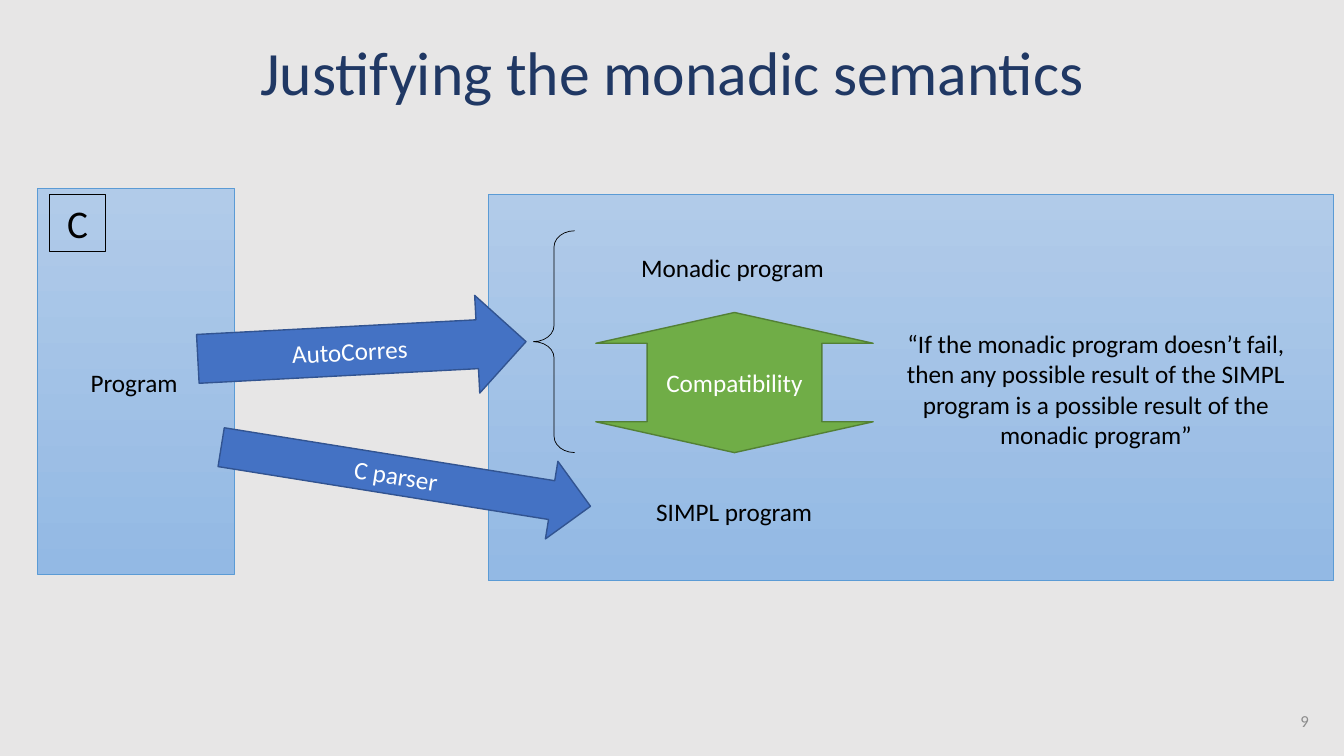
from lxml.etree import SubElement
from pptx import Presentation
from pptx.dml.color import RGBColor
from pptx.enum.shapes import MSO_SHAPE
from pptx.enum.text import MSO_ANCHOR, MSO_AUTO_SIZE, PP_ALIGN
from pptx.oxml.ns import qn
from pptx.util import Pt

PX = 9144
FONT = "Calibri"
BLACK = RGBColor(0x00, 0x00, 0x00)
WHITE = RGBColor(0xFF, 0xFF, 0xFF)
GRAY = RGBColor(0x8C, 0x8C, 0x8C)
PAPER = RGBColor(0xE7, 0xE6, 0xE6)
NAVY = RGBColor(0x20, 0x38, 0x64)
BLUE = RGBColor(0x44, 0x72, 0xC4)
DARK_BLUE = RGBColor(0x32, 0x54, 0x91)
GREEN = RGBColor(0x70, 0xAD, 0x47)
DARK_GREEN = RGBColor(0x53, 0x80, 0x35)
SKY = RGBColor(0x5B, 0x9B, 0xD5)
PALE_TOP = RGBColor(0xB1, 0xCB, 0xE9)
PALE_END = RGBColor(0x93, 0xB9, 0xE4)


def scale(*box):
    return [n * PX for n in box]


def write(shape, text, size=18, color=BLACK, align=PP_ALIGN.LEFT, anchor=MSO_ANCHOR.TOP):
    frame = shape.text_frame
    frame.text = text
    frame.word_wrap = True
    frame.auto_size = MSO_AUTO_SIZE.NONE
    frame.vertical_anchor = anchor
    para = frame.paragraphs[0]
    para.alignment = align
    para.font.name = FONT
    para.font.size = Pt(size)
    para.font.color.rgb = color
    return para


def add_label(slide, box, text, **style):
    write(slide.shapes.add_textbox(*scale(*box)), text, **style)


def add_form(slide, kind, box, line, width, fill=None):
    form = slide.shapes.add_shape(kind, *scale(*box))
    form.shadow.inherit = False
    form.line.color.rgb = line
    form.line.width = Pt(width)
    if fill is None:
        form.fill.background()
    else:
        form.fill.solid()
        form.fill.fore_color.rgb = fill
    return form


def add_panel(slide, box):
    panel = add_form(slide, MSO_SHAPE.RECTANGLE, box, SKY, 0.5)
    panel.fill.gradient()
    panel.fill.gradient_angle = 270
    for stop, color, place in zip(panel.fill.gradient_stops, (PALE_TOP, PALE_END), (0, 1)):
        stop.color.rgb = color
        stop.position = place


def add_arrow(slide, kind, box, text, fill, line, turn=0):
    arrow = add_form(slide, kind, box, line, 1, fill)
    arrow.rotation = turn
    write(arrow, text, color=WHITE, align=PP_ALIGN.CENTER, anchor=MSO_ANCHOR.MIDDLE)
    return arrow


def set_guides(shape, **guides):
    holder = next(shape.element.iter(qn("a:avLst")))
    for old in list(holder):
        holder.remove(old)
    for name, value in guides.items():
        SubElement(holder, qn("a:gd"), name=name, fmla=f"val {value}")


def set_title(slide, box, text):
    title = slide.shapes.title
    title.left, title.top, title.width, title.height = scale(*box)
    para = write(title, text, 44, NAVY, PP_ALIGN.CENTER, MSO_ANCHOR.MIDDLE)
    para.line_spacing = 0.9


def main():
    deck = Presentation()
    deck.slide_width, deck.slide_height = scale(1333, 750)
    slide = deck.slides.add_slide(deck.slide_layouts[5])
    slide.background.fill.solid()
    slide.background.fill.fore_color.rgb = PAPER
    set_title(slide, (92, 2, 1150, 145), "Justifying the monadic semantics")

    add_panel(slide, (484, 193, 838, 383))
    add_panel(slide, (37, 187, 196, 383))
    badge = add_form(slide, MSO_SHAPE.RECTANGLE, (49, 193, 56, 57), BLACK, 0.75)
    write(badge, "C", size=28, align=PP_ALIGN.CENTER)

    add_arrow(slide, MSO_SHAPE.RIGHT_ARROW, (196, 299, 326, 97), "AutoCorres", BLUE, DARK_BLUE, 357)
    add_label(slide, (80, 359, 164, 40), "Program")
    add_label(slide, (626, 245, 225, 40), "Monadic program")
    add_label(slide, (641, 487, 225, 40), "SIMPL program")
    add_arrow(slide, MSO_SHAPE.RIGHT_ARROW, (217, 434, 371, 78), "C parser", BLUE, DARK_BLUE, 9.1)

    link = add_arrow(slide, MSO_SHAPE.UP_DOWN_ARROW, (591, 310, 275, 139),
                     "Compatibility", GREEN, DARK_GREEN)
    set_guides(link, adj1=63000, adj2=22000)
    brace = add_form(slide, MSO_SHAPE.LEFT_BRACE, (529, 229, 41, 220), BLACK, 0.5)
    set_guides(brace, adj1=39000, adj2=50000)

    add_label(slide, (878, 321, 418, 131),
              "“If the monadic program doesn’t fail, then any possible result of the SIMPL "
              "program is a possible result of the monadic program”", align=PP_ALIGN.CENTER)
    add_label(slide, (1008, 695, 300, 40), "9", size=12, color=GRAY,
              align=PP_ALIGN.RIGHT, anchor=MSO_ANCHOR.MIDDLE)
    deck.save("out.pptx")


if __name__ == "__main__":
    main()
